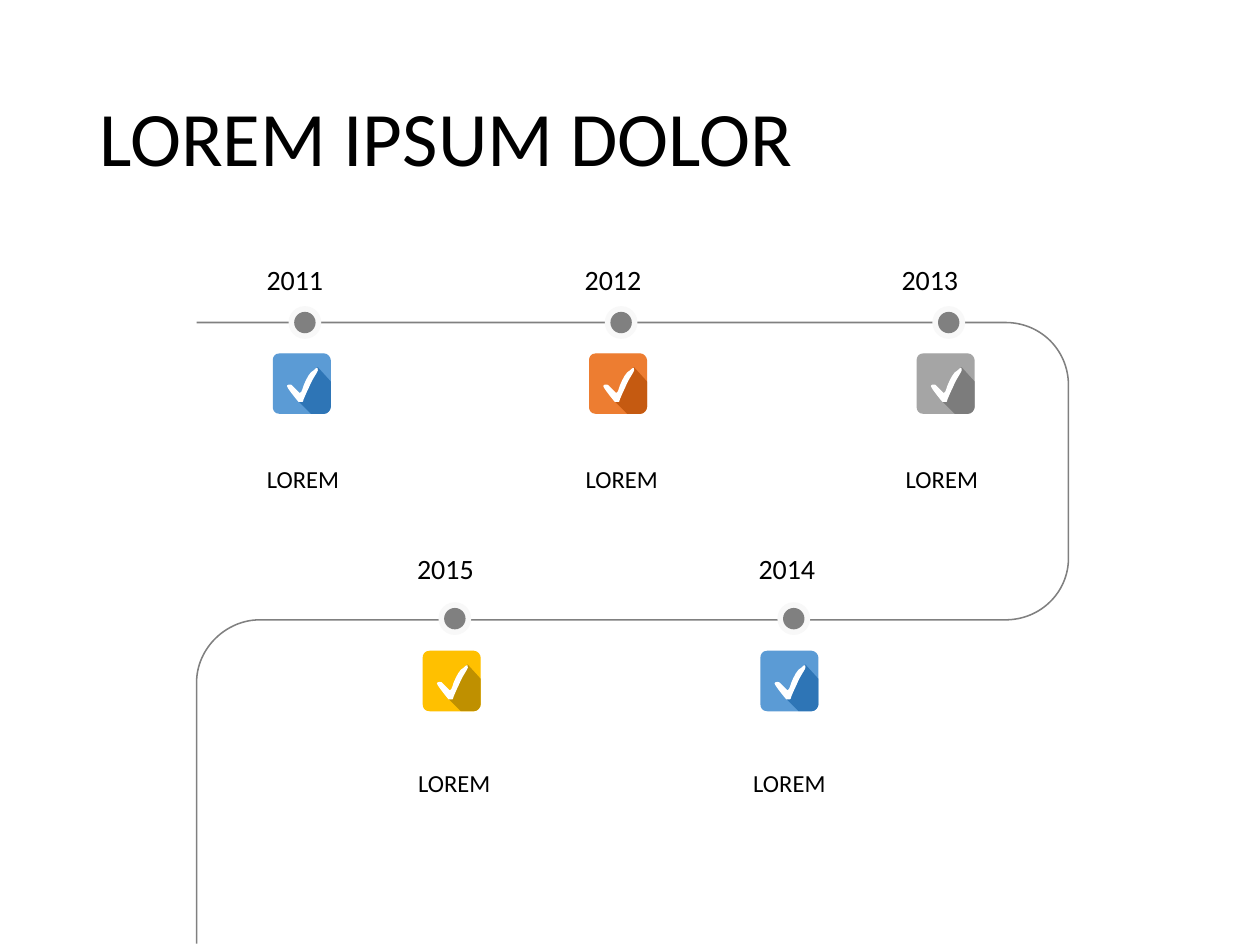
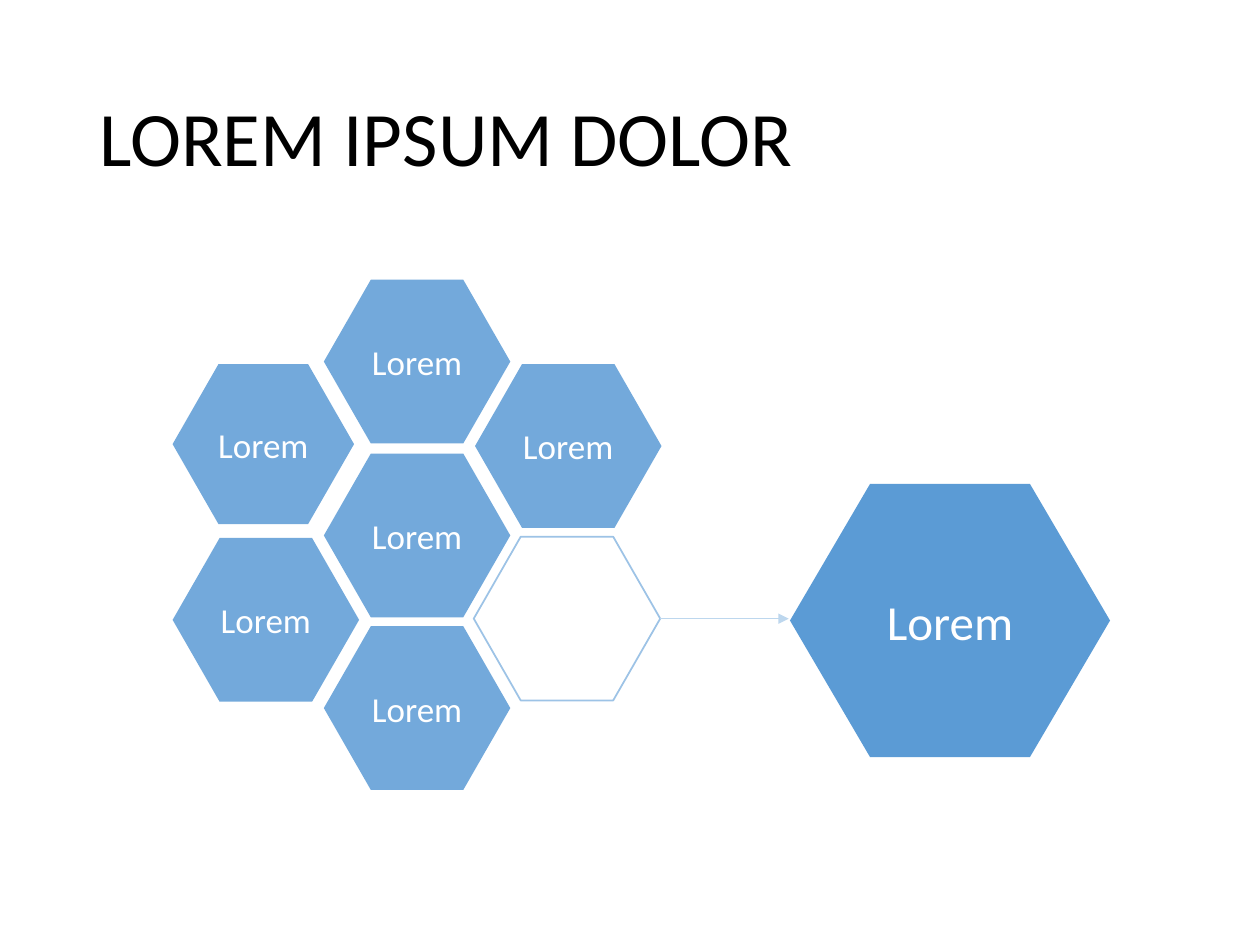
from lxml.etree import SubElement
from pptx import Presentation
from pptx.dml.color import RGBColor
from pptx.enum.shapes import MSO_CONNECTOR as Connector, MSO_SHAPE as Shape
from pptx.enum.text import MSO_ANCHOR as Anchor, PP_ALIGN as Align
from pptx.oxml.ns import qn
from pptx.util import Pt

PX = 9144
FONT = "Calibri"
COLORS = {
    "black": "000000",
    "white": "FFFFFF",
    "gray": "808080",
    "halo": "F8F8F8",
    "blue": "5B9BD5",
    "blue_dark": "2E75B6",
    "orange": "ED7D31",
    "orange_dark": "C55A11",
    "silver": "A5A5A5",
    "silver_dark": "7C7C7C",
    "gold": "FFC000",
    "gold_dark": "BF9000",
    "outline": "9DC3E6",
    "arrow": "BDD7EE",
}

TILE = [
    (45, 42), (45, 44, 43, 47, 40, 47), (5, 47), (1, 47, 0, 44, 0, 42), (0, 5),
    (0, 3, 1, 0, 5, 0), (40, 0), (43, 0, 45, 3, 45, 5), (45, 42),
]
TILE_SHADE = [
    (35, 11), (20, 37), (30, 47), (40, 47), (43, 47, 45, 44, 45, 42), (45, 22), (35, 11),
]
CHECK_MARK = [
    (23, 38), (20, 38), (20, 38, 9, 25, 11, 25), (11, 24, 15, 24, 15, 25), (21, 31),
    (23, 30, 23, 27, 24, 25), (26, 20, 29, 14, 32, 13), (33, 11, 35, 11, 35, 11),
    (37, 13, 32, 17, 28, 27), (26, 31, 24, 36, 24, 36), (24, 38, 23, 38, 23, 38),
]
ROAD = [
    (156, 256), (798, 256), (826, 256, 848, 278, 848, 306), (848, 443),
    (848, 470, 826, 492, 798, 492), (206, 492), (180, 492, 156, 514, 156, 542), (156, 749),
]
ROWS = {
    "top": {"dot": 256, "tile": 281, "year": 196, "label": 348},
    "bottom": {"dot": 491, "tile": 517, "year": 425, "label": 589},
}
MILESTONES = [
    ("2011", "top", 242, 217, (158, 152), 140, "blue"),
    ("2012", "top", 493, 468, (407, 159), 393, "orange"),
    ("2013", "top", 753, 728, (658, 160), 647, "silver"),
    ("2015", "bottom", 361, 336, (273, 161), 260, "gold"),
    ("2014", "bottom", 630, 604, (545, 159), 526, "blue"),
]

CELL_SIZE = (148, 130)
HONEYCOMB = [
    (257, 222, *CELL_SIZE),
    (137, 289, 144, 127),
    (137, 427, *CELL_SIZE),
    (377, 289, *CELL_SIZE),
    (257, 360, *CELL_SIZE),
    (257, 497, *CELL_SIZE),
]


def px(*lengths):
    return [round(length * PX) for length in lengths]


def rgb(name):
    return RGBColor.from_string(COLORS[name])


def paint(shape, fill=None, line=None, line_width=0.75):
    shape.shadow.inherit = False
    if fill:
        shape.fill.solid()
        shape.fill.fore_color.rgb = rgb(fill)
    else:
        shape.fill.background()
    if line:
        shape.line.color.rgb = rgb(line)
        shape.line.width = Pt(line_width)
    else:
        shape.line.fill.background()
    return shape


def write(shape, text, size, color="black", align=Align.CENTER):
    frame = shape.text_frame
    frame.word_wrap = True
    frame.vertical_anchor = Anchor.MIDDLE
    paragraph = frame.paragraphs[0]
    paragraph.text = text
    paragraph.alignment = align
    paragraph.font.name = FONT
    paragraph.font.size = Pt(size)
    paragraph.font.color.rgb = rgb(color)
    return paragraph


def add_text(slide, box, text, size, align=Align.CENTER):
    return write(slide.shapes.add_textbox(*px(*box)), text, size, align=align)


def add_title(slide, text):
    add_text(slide, (69, 40, 862, 145), text, 44, Align.LEFT).line_spacing = 0.9


def bend(line, controls, shape):
    line.tag = qn("a:cubicBezTo")
    for index in (0, 1):
        x, y = px(*controls[2 * index:2 * index + 2])
        point = SubElement(line, qn("a:pt"))
        point.set("x", str(x - shape.left))
        point.set("y", str(y - shape.top))
        line.insert(index, point)


def add_outline(slide, segments, left=0, top=0, close=False):
    placed = [
        [value + (top if index % 2 else left) for index, value in enumerate(segment)]
        for segment in segments
    ]
    ends = [px(*segment[-2:]) for segment in placed]
    builder = slide.shapes.build_freeform(*ends[0])
    builder.add_line_segments(ends[1:], close=close)
    shape = builder.convert_to_shape()
    lines = list(shape._element.iter(qn("a:lnTo")))
    for line, segment in zip(lines, placed[1:]):
        if len(segment) == 6:
            bend(line, segment[:4], shape)
    return shape


def add_dot(slide, center_x, center_y, diameter, color):
    left, top = center_x - diameter / 2, center_y - diameter / 2
    paint(slide.shapes.add_shape(Shape.OVAL, *px(left, top, diameter, diameter)), color)


def add_check_tile(slide, left, top, color):
    dark = color + "_dark"
    paint(add_outline(slide, TILE, left, top), color, color)
    paint(add_outline(slide, TILE_SHADE, left, top), dark, dark)
    paint(add_outline(slide, CHECK_MARK, left, top, close=True), "white")


def add_milestone(slide, year, row, dot_x, tile_left, year_span, label_left, color):
    tops = ROWS[row]
    year_left, year_width = year_span
    add_check_tile(slide, tile_left, tops["tile"], color)
    add_dot(slide, dot_x, tops["dot"], 26, "halo")
    add_dot(slide, dot_x, tops["dot"], 17, "gray")
    add_text(slide, (year_left, tops["year"], year_width, 52), year, 16)
    add_text(slide, (label_left, tops["label"], 201, 64), "LOREM", 14)


def add_hexagon(slide, box, fill=None, line=None, slant=0.287):
    hexagon = slide.shapes.add_shape(Shape.HEXAGON, *px(*box))
    hexagon.adjustments[0] = slant
    return paint(hexagon, fill, line, 1)


def add_labelled_hexagon(slide, box, text, size, slant=0.287):
    hexagon = add_hexagon(slide, box, "blue", slant=slant)
    write(hexagon, text, size, "white")
    frame = hexagon.text_frame
    frame.margin_left = frame.margin_right = frame.margin_top = frame.margin_bottom = 0
    return hexagon


def set_opacity(shape, percent):
    color = shape.fill._xPr.find(qn("a:solidFill"))[0]
    SubElement(color, qn("a:alpha")).set("val", str(percent * 1000))


def add_arrow(slide, start, end, color):
    arrow = slide.shapes.add_connector(Connector.STRAIGHT, *px(*start, *end))
    arrow.line.color.rgb = rgb(color)
    arrow.line.width = Pt(0.75)
    SubElement(arrow.line._get_or_add_ln(), qn("a:tailEnd")).set("type", "triangle")
    SubElement(arrow._element.spPr, qn("a:effectLst"))


def build_timeline(slide):
    paint(add_outline(slide, ROAD), line="gray", line_width=0.88)
    for milestone in MILESTONES:
        add_milestone(slide, *milestone)
    add_title(slide, "LOREM IPSUM DOLOR")


def build_honeycomb(slide):
    for box in HONEYCOMB:
        set_opacity(add_labelled_hexagon(slide, box, "Lorem", 20), 85)
    add_hexagon(slide, (376, 426, *CELL_SIZE), line="outline")
    add_labelled_hexagon(slide, (627, 384, 254, 217), "Lorem", 28, 0.293)
    add_arrow(slide, (524, 491), (626, 491), "arrow")
    add_title(slide, "LOREM IPSUM DOLOR")


def main():
    presentation = Presentation()
    presentation.slide_width, presentation.slide_height = px(1000, 750)
    blank = presentation.slide_layouts[6]
    for build in (build_timeline, build_honeycomb):
        build(presentation.slides.add_slide(blank))
    presentation.save("out.pptx")


if __name__ == "__main__":
    main()
